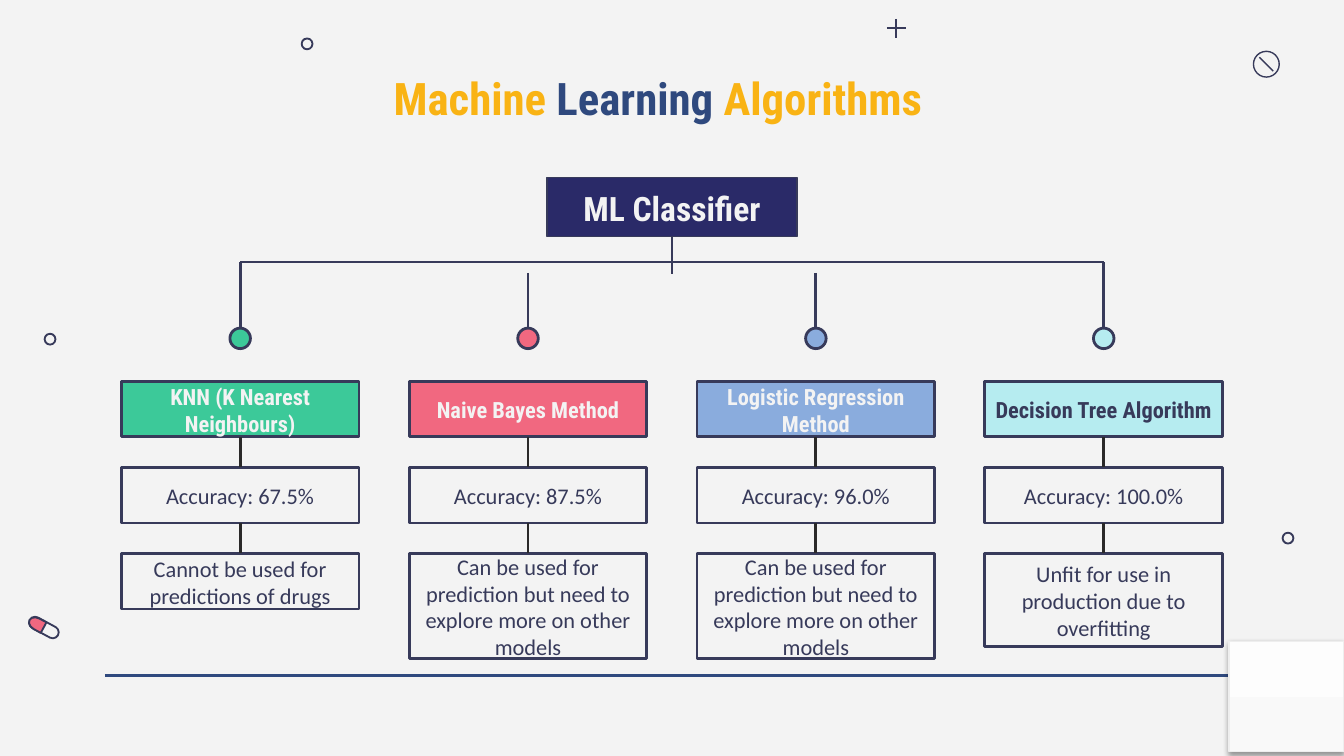
from lxml import etree
from pptx import Presentation
from pptx.dml.color import RGBColor
from pptx.enum.shapes import MSO_CONNECTOR, MSO_SHAPE
from pptx.enum.text import MSO_ANCHOR, MSO_AUTO_SIZE, PP_ALIGN
from pptx.oxml.ns import qn
from pptx.util import Pt

RECT = MSO_SHAPE.RECTANGLE
OVAL = MSO_SHAPE.OVAL
ROUND = MSO_SHAPE.ROUNDED_RECTANGLE
HALF = MSO_SHAPE.FLOWCHART_DELAY
LINE = MSO_CONNECTOR.STRAIGHT
MIDDLE = MSO_ANCHOR.MIDDLE
CENTER = PP_ALIGN.CENTER
NO_FIT = MSO_AUTO_SIZE.NONE

HEAD = "Roboto Condensed"
BODY = "Calibri"
HEX = {
    "paper": "F3F3F3", "ink": "373A5A", "link": "2A2929", "navy": "2A2A68",
    "blue": "2F497E", "gold": "F9B314", "green": "3CC999", "pink": "F16880",
    "sky": "8AACDD", "ice": "B6ECF0", "low": "F9F9F9", "high": "FDFDFD",
    "edge": "EEEEEE", "black": "000000",
}
REASON = "Can be used for prediction but need to explore more on other models"
MODELS = [
    ("KNN (K Nearest Neighbours)", "67.5%", "Cannot be used for predictions of drugs",
     "green", "paper", 29.8),
    ("Naive Bayes Method", "87.5%", REASON, "pink", "paper", 56.2),
    ("Logistic Regression Method", "96.0%", REASON, "sky", "paper", 56.2),
    ("Decision Tree Algorithm", "100.0%",
     "Unfit for use in production due to overfitting", "ice", "ink", 49.7),
]
MID = 360
PITCH = 154.2
WIDE, HIGH = 127.4, 29.8
TOP, STEP = 204.3, 46.1
DOT, DOT_MID = 11, 181.3
BUS = 140.4


def color(name):
    return RGBColor.from_string(HEX[name])


def shape(slide, kind, x, y, w, h, fill=None, edge="ink", weight=1.5):
    item = slide.shapes.add_shape(kind, Pt(x), Pt(y), Pt(w), Pt(h))
    item.shadow.inherit = False
    if fill:
        item.fill.solid()
        item.fill.fore_color.rgb = color(fill)
    else:
        item.fill.background()
    item.line.color.rgb = color(edge)
    item.line.width = Pt(weight)
    return item


def line(slide, x1, y1, x2, y2, ink="ink", weight=1.5):
    item = slide.shapes.add_connector(LINE, Pt(x1), Pt(y1), Pt(x2), Pt(y2))
    item.line.color.rgb = color(ink)
    item.line.width = Pt(weight)
    etree.SubElement(item._element.spPr, qn("a:effectLst"))


def style(font, face, size, bold):
    font.name = face
    font.size = Pt(size)
    font.bold = bold


def box(slide, x, y, w, h, text, fill=None, ink="ink", face=BODY, size=12, weight=1.5):
    item = shape(slide, RECT, x, y, w, h, fill, weight=weight)
    frame = item.text_frame
    frame.word_wrap = True
    frame.vertical_anchor = MIDDLE
    frame.margin_left = frame.margin_right = frame.margin_bottom = 0
    frame.margin_top = Pt(0.7)
    para = frame.paragraphs[0]
    para.text = text
    para.alignment = CENTER
    style(para.font, face, size, face == HEAD)
    para.font.color.rgb = color(ink)


def ring(slide, x, y, size, weight):
    shape(slide, OVAL, x - size / 2, y - size / 2, size, size, weight=weight)


def decor(slide):
    line(slide, 56.2, 361.8, 663.8, 361.8, "blue")
    for x, y in [(164.5, 23.5), (26.8, 181.7), (690, 288.3)]:
        ring(slide, x, y, 5.8, 1)
    ring(slide, 678.4, 34.4, 13.8, 0.75)
    line(slide, 674.7, 30.7, 682.1, 38.1, weight=0.75)
    line(slide, 480.1, 10.1, 480.1, 20.2, weight=0.75)
    line(slide, 475.1, 15.1, 485.2, 15.1, weight=0.75)
    pill = shape(slide, ROUND, 14.9, 333, 17.2, 6.4, weight=1)
    pill.adjustments[0] = 0.5
    pill.rotation = 28.4
    cap = shape(slide, HALF, 15.3, 331, 8.6, 6.4, "pink", weight=1)
    cap.rotation = 208.4


def heading(slide):
    title = slide.shapes.title
    title.left, title.top, title.width, title.height = Pt(100.8), Pt(29.5), Pt(503.3), Pt(45.4)
    frame = title.text_frame
    frame.auto_size = NO_FIT
    frame.vertical_anchor = MIDDLE
    para = frame.paragraphs[0]
    para.alignment = CENTER
    style(para.font, HEAD, 24, True)
    for text, ink in [("Machine ", "gold"), ("Learning ", "blue"), ("Algorithms", "gold")]:
        run = para.add_run()
        run.text = text
        run.font.color.rgb = color(ink)


def column(slide, mid, model):
    name, score, note, fill, ink, tall = model
    left = mid - WIDE / 2
    box(slide, left, TOP, WIDE, HIGH, name, fill, ink, HEAD)
    box(slide, left, TOP + STEP, WIDE, HIGH, "Accuracy: " + score)
    box(slide, left, TOP + 2 * STEP, WIDE, tall, note)
    for row in range(2):
        y = TOP + row * STEP
        line(slide, mid, y + HIGH, mid, y + STEP, "link")
    shape(slide, OVAL, mid - DOT / 2, DOT_MID - DOT / 2, DOT, DOT, fill)


def tree(slide):
    mids = [MID + (i - 1.5) * PITCH for i in range(len(MODELS))]
    box(slide, 293, 95.2, 134, 31.4, "ML Classifier", "navy", "paper", HEAD, 18, 0.75)
    for mid, model in zip(mids, MODELS):
        column(slide, mid, model)
        start = BUS if mid in (mids[0], mids[-1]) else 146.2
        line(slide, mid, start, mid, DOT_MID - DOT / 2)
    line(slide, mids[0], BUS, mids[-1], BUS)
    line(slide, MID, 126.6, MID, 146.6)


def panel(slide):
    item = shape(slide, RECT, 658.4, 343.6, 61.6, 59.2, edge="edge", weight=0.75)
    item.fill.gradient()
    item.fill.gradient_angle = 90
    for stop, name in zip(item.fill.gradient_stops, ("low", "high")):
        stop.color.rgb = color(name)
    glow = item._element.spPr.find(qn("a:effectLst"))
    cast = etree.SubElement(glow, qn("a:outerShdw"), blurRad=str(Pt(3.1)),
                            dist=str(Pt(1.6)), dir="5400000", rotWithShape="0")
    tint = etree.SubElement(cast, qn("a:srgbClr"), val=HEX["black"])
    etree.SubElement(tint, qn("a:alpha"), val="38000")


def main():
    deck = Presentation()
    deck.slide_width, deck.slide_height = Pt(720), Pt(405)
    slide = deck.slides.add_slide(deck.slide_layouts[5])
    slide.background.fill.solid()
    slide.background.fill.fore_color.rgb = color("paper")
    decor(slide)
    heading(slide)
    tree(slide)
    panel(slide)
    deck.save("out.pptx")


main()
